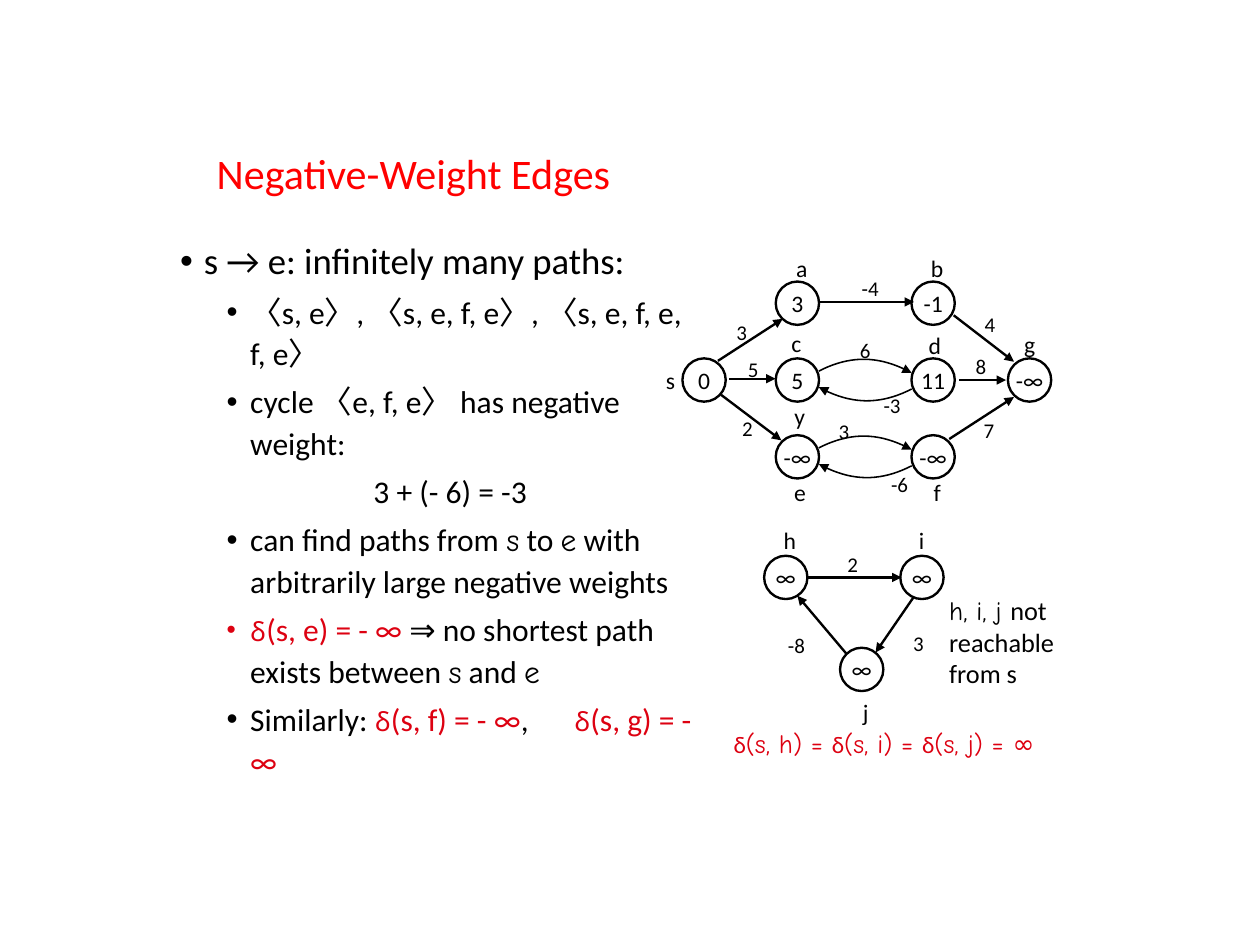
from lxml.etree import SubElement as Sub
from pptx import Presentation
from pptx.dml.color import RGBColor as Rgb
from pptx.enum.shapes import MSO_CONNECTOR as Link, MSO_SHAPE as Form
from pptx.enum.text import MSO_ANCHOR as Anchor, MSO_AUTO_SIZE as Fit, PP_ALIGN as Align
from pptx.oxml.ns import qn
from pptx.util import Cm, Pt

HUES = {"ink": "000000", "head": "FF0000", "red": "DD0111"}
SANS, HAND = "Calibri", "Comic Neue"
FONTS = {  # font, size, colour
    "title": (SANS, 26.7, "head"),
    "top": (SANS, 23.3, "ink"),
    "sub": (SANS, 20, "ink"),
    "var": (HAND, 20, "ink"),
    "delta": (HAND, 16.7, "red"),
    "cost": (SANS, 20, "red"),
    "node": (SANS, 15, "ink"),
    "edge": (SANS, 13.3, "ink"),
    "note": (SANS, 16.7, "ink"),
    "names": (HAND, 16.7, "ink"),
    "sign": (SANS, 15, "red"),
    "sum": (HAND, 16.7, "red"),
}
SIZE = 0.97
ROWS = [6.79 + 1.72 * i for i in range(3)]
COLS = [15.77, 17.86, 20.9, 23.06]

TITLE = [("Negative-Weight Edges", "title")]
LIST = [  # indent, hang, bullet, runs
    (0.53, 0.53, "•", [("s → e: infinitely many paths:", "top")]),
    (1.57, 0.53, "•", [("〈s, e〉, 〈s, e, f, e〉, 〈s, e, f, e, f, e〉", "sub")]),
    (1.57, 0.53, "•", [("cycle 〈e, f, e〉 has negative weight:", "sub")]),
    (4.33, 0, None, [("3 + (- 6) = -3", "sub")]),
    (1.57, 0.53, "•", [("can find paths from ", "sub"), ("s", "var"), (" to ", "sub"), ("e", "var"),
                       (" with arbitrarily large negative weights", "sub")]),
    (1.57, 0.53, "•", [("δ", "delta"), ("(s, e) = - ∞", "cost"),
                       (" ⇒ no shortest path exists between ", "sub"),
                       ("s", "var"), (" and ", "sub"), ("e", "var")]),
    (1.57, 0.53, "•", [("Similarly: ", "sub"), ("δ", "delta"), ("(s, f) = - ∞", "cost"),
                       (",\t", "sub"), ("δ", "delta"), ("(s, g) = - ∞", "cost")]),
]
NODES = [
    ("0", COLS[0], ROWS[1]), ("3", COLS[1], ROWS[0]), ("-1", COLS[2], ROWS[0]),
    ("5", COLS[1], ROWS[1]), ("11", COLS[2], ROWS[1]), ("-∞", COLS[1], ROWS[2]),
    ("-∞", COLS[2], ROWS[2]), ("-∞", COLS[3], ROWS[1]),
    ("∞", 17.6, 12.93), ("∞", 20.65, 12.93), ("∞", 19.3, 14.99),
]
EDGES = [
    (18.34, 6.76, 20.47, 6.76), (16.08, 8.08, 17.53, 7.14), (16.15, 8.84, 17.5, 9.86),
    (21.36, 7.06, 22.71, 8.1), (21.26, 9.83, 22.71, 8.89), (16.33, 8.48, 17.37, 8.48),
    (21.49, 8.51, 22.53, 8.51), (18.06, 12.93, 20.19, 12.93),
    (20.47, 13.36, 19.61, 14.61), (18.95, 14.63, 17.86, 13.34),
]
TAGS = {
    "edge": [
        ("3", 16.61, 7.43), ("-4", 19.49, 6.46), ("2", 16.74, 9.59), ("8", 21.97, 8.19),
        ("-6", 20.15, 10.83), ("-3", 19.98, 9.08), ("3", 18.9, 9.66), ("5", 16.87, 8.27),
        ("6", 19.38, 7.84), ("4", 22.17, 7.25), ("7", 22.15, 9.64),
        ("2", 19.1, 12.64), ("3", 20.57, 14.41), ("-8", 17.84, 14.44),
    ],
    "node": [
        ("s", 15.02, 8.5), ("a", 17.96, 6.01), ("b", 20.99, 6.01), ("c", 17.84, 7.68),
        ("d", 20.94, 7.73), ("g", 23.06, 7.71), ("y", 17.91, 9.31), ("e", 17.92, 11.01),
        ("f", 20.99, 11.01), ("h", 17.69, 12.1), ("i", 20.64, 12.1), ("j", 19.39, 15.94),
    ],
}
SUM = [[("δ", "sign"), ("(s, h) = ", "sum"), ("δ", "sign"), ("(s, i) = ", "sum"),
        ("δ", "sign"), ("(s, j) = ∞", "sum")]]
NOTE = [[("h, i, j ", "names"), ("not", "note")], [("reachable", "note")], [("from s", "note")]]


def put(item, **form):
    for name, value in form.items():
        setattr(item, name, value)


def place(shape, left, top, width, height):
    put(shape, left=Cm(left), top=Cm(top), width=Cm(width), height=Cm(height))


class Deck:
    def __init__(self, width, height):
        self.show = Presentation()
        put(self.show, slide_width=Cm(width), slide_height=Cm(height))
        self.slide = self.show.slides.add_slide(self.show.slide_layouts[1])
        self.shapes = self.slide.shapes

    def fill(self, para, runs):
        """Add the styled runs to a paragraph."""
        for text, style in runs:
            run = para.add_run()
            run.text = text
            name, size, hue = FONTS[style]
            put(run.font, name=name, size=Pt(size))
            run.font.color.rgb = Rgb.from_string(HUES[hue])

    def title(self, box, runs):
        shape = self.shapes.title
        place(shape, *box)
        put(shape.text_frame, vertical_anchor=Anchor.MIDDLE, auto_size=Fit.NONE)
        para = shape.text_frame.paragraphs[0]
        put(para, alignment=Align.LEFT, line_spacing=0.9)
        self.fill(para, runs)

    def list(self, box, items, stop):
        shape = self.slide.placeholders[1]
        place(shape, *box)
        frame = shape.text_frame
        put(frame, vertical_anchor=Anchor.TOP, auto_size=Fit.NONE)
        for i, (left, hang, mark, runs) in enumerate(items):
            para = frame.add_paragraph() if i else frame.paragraphs[0]
            prop = para._p.get_or_add_pPr()
            prop.set("marL", str(Cm(left)))
            prop.set("indent", str(-Cm(hang)))
            if mark:
                Sub(prop, qn("a:buFont"), typeface="Arial")
                Sub(prop, qn("a:buChar"), char=mark)
            else:
                Sub(prop, qn("a:buNone"))
            if any("\t" in text for text, _ in runs):
                tabs = Sub(prop, qn("a:tabLst"))
                Sub(tabs, qn("a:tab"), pos=str(Cm(stop)), algn="l")
            put(para, level=min(i, 1), line_spacing=1.1, space_before=Pt(4.2 if i else 0))
            self.fill(para, runs)

    def text(self, box, lines):
        frame = self.shapes.add_textbox(*map(Cm, box)).text_frame
        frame.word_wrap = True
        for i, runs in enumerate(lines):
            self.fill(frame.add_paragraph() if i else frame.paragraphs[0], runs)

    def mid(self, frame, text, style):
        """Centre one line of text in the frame."""
        put(frame, word_wrap=False, vertical_anchor=Anchor.MIDDLE,
            margin_left=0, margin_right=0, margin_top=0, margin_bottom=0)
        frame.paragraphs[0].alignment = Align.CENTER
        self.fill(frame.paragraphs[0], [(text, style)])

    def tag(self, text, x, y, style):
        box = self.shapes.add_textbox(Cm(x - 0.38), Cm(y - 0.43), Cm(0.76), Cm(0.86))
        self.mid(box.text_frame, text, style)

    def stroke(self, shape, width):
        shape.line.color.rgb = Rgb.from_string(HUES["ink"])
        shape.line.width = Pt(width)

    def tip(self, shape):
        Sub(shape.element.spPr.find(qn("a:ln")), qn("a:tailEnd"), type="triangle")

    def node(self, text, x, y):
        shape = self.shapes.add_shape(
            Form.OVAL, Cm(x - SIZE / 2), Cm(y - SIZE / 2), Cm(SIZE), Cm(SIZE))
        shape.shadow.inherit = False
        shape.fill.background()
        self.stroke(shape, 1.5)
        self.mid(shape.text_frame, text, "node")

    def edge(self, *ends):
        line = self.shapes.add_connector(Link.STRAIGHT, *map(Cm, ends))
        self.stroke(line, 1.5)
        self.tip(line)
        Sub(line.element.spPr, qn("a:effectLst"))

    def bend(self, x, y, way):
        """Draw a Bezier arrow about a centre; way -1 turns it half round."""
        pulls = [(-1.04, -0.2), (-0.34, -0.56), (0.31, -0.56), (1.04, -0.16)]
        dots = []
        for t in (i / 20 for i in range(21)):
            parts = (1 - t) ** 3, 3 * t * (1 - t) ** 2, 3 * t * t * (1 - t), t ** 3
            dx, dy = (sum(k * p[a] for k, p in zip(parts, pulls)) for a in (0, 1))
            dots.append((Cm(x + way * dx), Cm(y + way * dy)))
        curve = self.shapes.build_freeform(*dots[0])
        curve.add_line_segments(dots[1:], close=False)
        shape = curve.convert_to_shape()
        shape.shadow.inherit = False
        shape.fill.background()
        self.stroke(shape, 1)
        self.tip(shape)


def main():
    deck = Deck(28.22, 21.16)
    deck.title((4.6, 3.28, 19.05, 1.32), TITLE)
    deck.list((3.78, 5.11, 12.07, 12.67), LIST, 8.83)
    for node in NODES:
        deck.node(*node)
    for edge in EDGES:
        deck.edge(*edge)
    for row in ROWS[1:]:
        for way in (1, -1):
            deck.bend(sum(COLS[1:3]) / 2, row, way)
    for style, tags in TAGS.items():
        for tag in tags:
            deck.tag(*tag, style)
    deck.text((16.18, 16.15, 7.7, 0.97), SUM)
    deck.text((21.01, 13.18, 3.2, 2.39), NOTE)
    deck.show.save("out.pptx")


if __name__ == "__main__":
    main()
